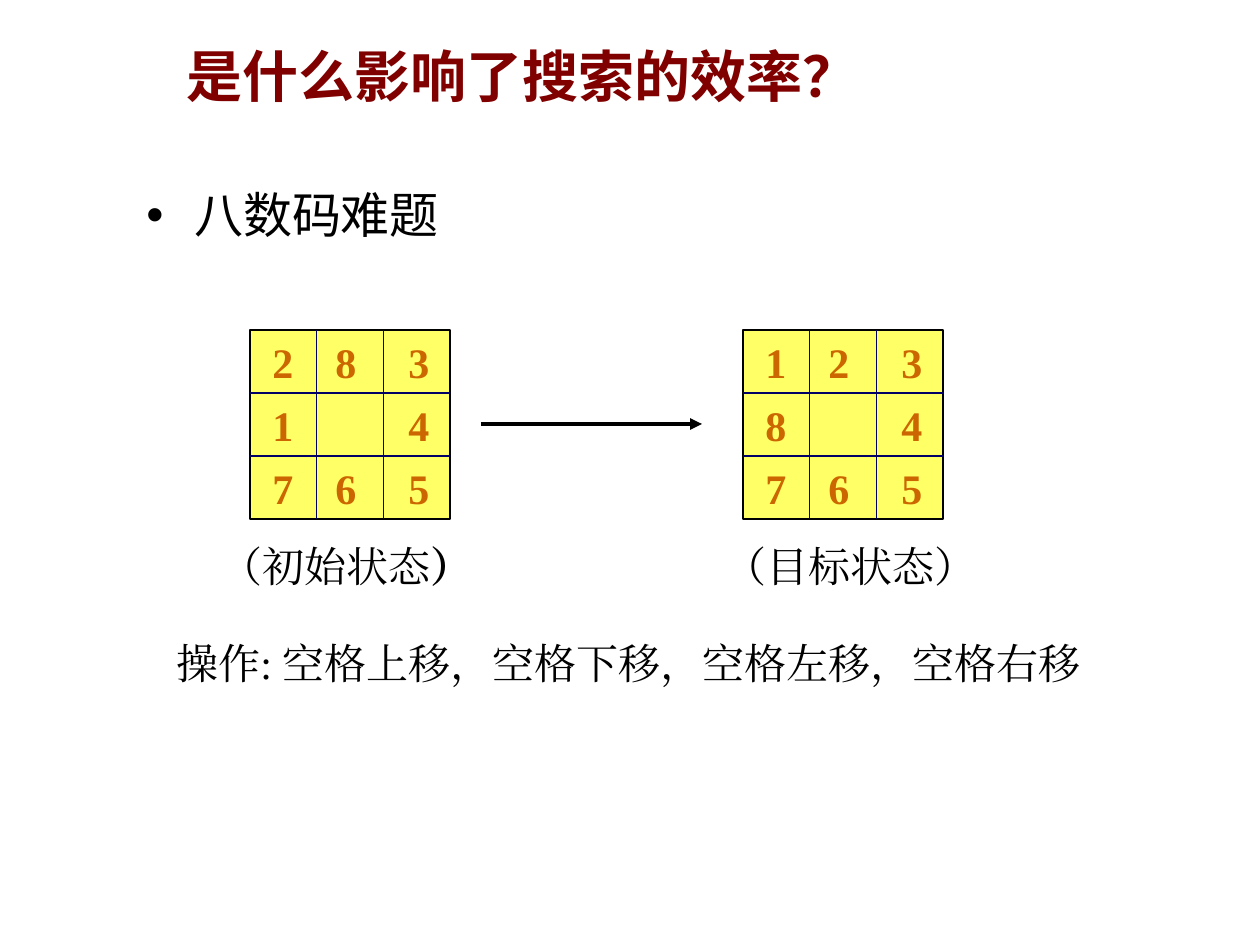
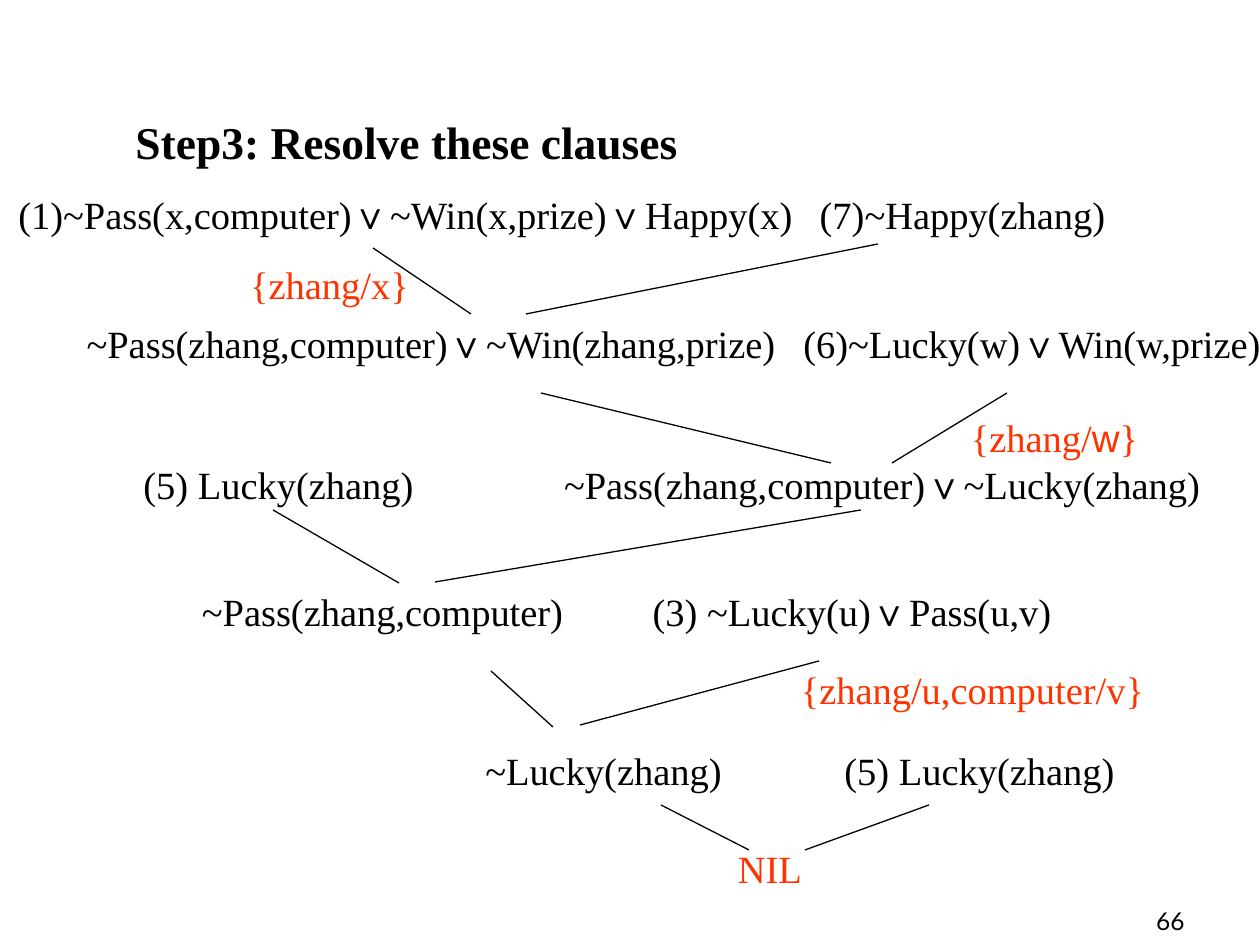
from pptx import Presentation, util as u
from pptx.dml.color import RGBColor
from pptx.enum import shapes, text
from pptx.oxml.ns import qn
from lxml import etree

PX = 914400 / 126
SERIF, CJK, SANS, PAGE = "Times New Roman", "Noto Sans CJK SC", "Arial", "Lato"
BLACK, WHITE, MAROON, RED = "000000", "FFFFFF", "800000", "FF3300"
YELLOW, NAVY, ORANGE = "FFFF66", "000066", "CC6600"
CENTER, RIGHT = text.PP_ALIGN.CENTER, text.PP_ALIGN.RIGHT
MIDDLE = text.MSO_ANCHOR.MIDDLE

prs = Presentation()
prs.slide_width, prs.slide_height = u.Inches(10), u.Inches(7.5)


def add_text(s, box, runs, size, color=BLACK, font=SERIF, bold=False,
             align=None, anchor=None, fill=None, line=None):
    """Add a text box, or a rectangle if it has a line; runs are (text, changes)."""
    pos = [round(v * PX) for v in box]
    if line:
        sp = s.shapes.add_shape(shapes.MSO_SHAPE.RECTANGLE, *pos)
        sp.shadow.inherit = False
        sp.line.color.rgb = RGBColor.from_string(line)
        sp.line.width = u.Pt(0.75)
        if fill:
            sp.fill.solid()
            sp.fill.fore_color.rgb = RGBColor.from_string(fill)
        else:
            sp.fill.background()
    else:
        sp = s.shapes.add_textbox(*pos)
    tf = sp.text_frame
    tf.word_wrap = align != CENTER
    if anchor:
        tf.vertical_anchor = anchor
    p = tf.paragraphs[0]
    p.alignment = align
    for words, changes in [(runs, {})] if isinstance(runs, str) else runs:
        r = p.add_run()
        r.text = words
        r.font.size = u.Pt(size)
        r.font.bold = changes.get("bold", bold)
        r.font.name = changes.get("font", font)
        r.font.color.rgb = RGBColor.from_string(color)
        ea = etree.SubElement(r.font._element, qn("a:ea"))
        ea.set("typeface", r.font.name)
    return sp


def add_line(s, x1, y1, x2, y2, color=BLACK, width=0.75, arrow=False):
    c = s.shapes.add_connector(shapes.MSO_CONNECTOR.STRAIGHT,
                               *[round(v * PX) for v in (x1, y1, x2, y2)])
    c.line.color.rgb = RGBColor.from_string(color)
    c.line.width = u.Pt(width)
    if arrow:
        etree.SubElement(c.line._get_or_add_ln(), qn("a:tailEnd")).set("type", "triangle")
    etree.SubElement(c._element.spPr, qn("a:effectLst"))


# Slide 1: the eight puzzle
s = prs.slides.add_slide(prs.slide_layouts[6])
add_text(s, (174, 35, 1086, 80), "是什么影响了搜索的效率？", 32, MAROON, CJK,
         bold=True, anchor=MIDDLE)
sp = add_text(s, (134, 185, 417, 86), "八数码难题", 28, font=CJK)
p = sp.text_frame.paragraphs[0]
p.line_spacing = 0.9
pPr = p._p.get_or_add_pPr()
pPr.set("marL", str(u.Inches(0.38)))
pPr.set("indent", str(-u.Inches(0.38)))
etree.SubElement(pPr, qn("a:buFont")).set("typeface", SANS)
etree.SubElement(pPr, qn("a:buChar")).set("char", "•")

# Boards: square, grid lines, digits
top, board_w, row_h = 330, 200, 63
digit_offsets = (10, 73, 146)
for left, rows in ((250, ("283", "1 4", "765")), (743, ("123", "8 4", "765"))):
    add_text(s, (left, top, board_w, 3 * row_h), [], 24, fill=YELLOW, line=BLACK)
    for i in (1, 2):
        x, y = left + board_w * i / 3, top + row_h * i
        add_line(s, left, y, left + board_w, y, NAVY)
        add_line(s, x, top, x, top + 3 * row_h, NAVY)
    for i, row in enumerate(rows):
        for dx, digit in zip(digit_offsets, row):
            if digit != " ":
                add_text(s, (left + dx, top + row_h * i, 47, row_h), digit, 24,
                         ORANGE, bold=True)
add_line(s, 481, 424, 702, 424, width=2.25, arrow=True)

# Captions and moves
add_text(s, (208, 534, 290, 63), [("（初始状态", {}), ("）", {"bold": True})], 24)
add_text(s, (712, 534, 290, 63), "（目标状态）", 24)
add_text(s, (164, 631, 930, 63), "操作: 空格上移，空格下移，空格左移，空格右移", 24)

# Slide 2: resolution tree
s = prs.slides.add_slide(prs.slide_layouts[6])
add_text(s, (749, 900, 448, 30), "66", 14, font=PAGE, align=RIGHT)
add_text(s, (123, 108, 590, 68), "Step3: Resolve these clauses", 26, bold=True)

# Branches, two for each resolution step
for branch in (
    (373, 248, 471, 314), (526, 314, 878, 244),
    (541, 393, 831, 463), (892, 463, 1007, 393),
    (273, 510, 399, 583), (435, 582, 861, 510),
    (491, 671, 553, 727), (580, 725, 819, 661),
    (661, 805, 749, 850), (805, 850, 929, 805),
):
    add_line(s, *branch)

# Substitutions
for x, y, w, fill, runs in (
    (277, 268, 105, WHITE, "{zhang/x}"),
    (810, 673, 325, None, "{zhang/u,computer/v}"),
    (1002, 421, 105, WHITE, [("{zhang/", {}), ("w", {"font": SANS}), ("}", {})]),
):
    add_text(s, (x, y, w, 32), runs, 22, RED, align=CENTER, anchor=MIDDLE,
             fill=fill, line=WHITE)

# Clauses
add_text(s, (6, 185, 806, 49), "(1)~Pass(x,computer)∨~Win(x,prize)∨Happy(x)", 22)
for x, y, w, clause, color in (
    (800, 185, 325, "(7)~Happy(zhang)", BLACK),
    (63, 314, 736, "~Pass(zhang,computer)∨~Win(zhang,prize)", BLACK),
    (789, 314, 486, "(6)~Lucky(w)∨Win(w,prize)", BLACK),
    (126, 455, 305, "(5) Lucky(zhang)", BLACK),
    (546, 455, 672, "~Pass(zhang,computer)∨~Lucky(zhang)", BLACK),
    (147, 582, 471, "~Pass(zhang,computer)", BLACK),
    (620, 582, 464, "(3) ~Lucky(u)∨Pass(u,v)", BLACK),
    (409, 741, 389, "~Lucky(zhang)", BLACK),
    (785, 741, 389, "(5) Lucky(zhang)", BLACK),
    (673, 839, 194, "NIL", RED),
):
    add_text(s, (x, y, w, 49), clause, 22, color, align=CENTER)

prs.save("out.pptx")
